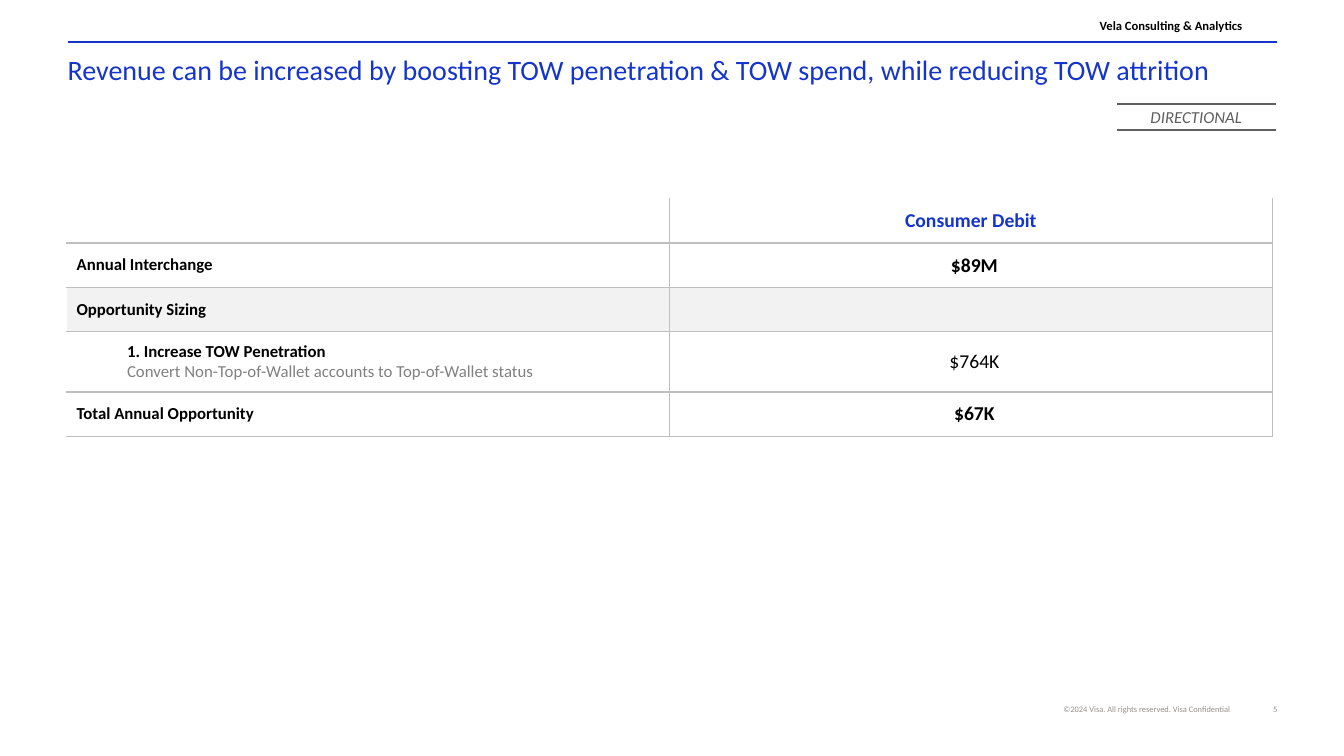
from typing import NamedTuple

from lxml import etree
from pptx import Presentation
from pptx.dml.color import RGBColor
from pptx.enum.shapes import MSO_CONNECTOR
from pptx.enum.text import MSO_ANCHOR, PP_ALIGN
from pptx.oxml.ns import qn
from pptx.util import Inches, Pt

BLUE = RGBColor(0x14, 0x34, 0xCB)
BLACK = RGBColor(0x00, 0x00, 0x00)
WHITE = RGBColor(0xFF, 0xFF, 0xFF)
DARK = RGBColor(0x5F, 0x5F, 0x5F)
GRAY = RGBColor(0x80, 0x80, 0x80)
BAND = RGBColor(0xF2, 0xF2, 0xF2)
EDGE = RGBColor(0xBF, 0xBF, 0xBF)
WARM = RGBColor(0x96, 0x91, 0x8D)

LEFT, MID, RIGHT = PP_ALIGN.LEFT, PP_ALIGN.CENTER, PP_ALIGN.RIGHT
TOP, HALF, BASE = MSO_ANCHOR.TOP, MSO_ANCHOR.MIDDLE, MSO_ANCHOR.BOTTOM
STRAIGHT = MSO_CONNECTOR.STRAIGHT

FONT = "Calibri"
HIGH = 0.44
TALL = 0.6


class Rule(NamedTuple):
    start: float
    end: float
    y: float
    color: RGBColor


class Box(NamedTuple):
    x: float
    y: float
    w: float
    h: float


class Row(NamedTuple):
    label: str
    note: str = ""
    head: str = ""
    fill: RGBColor = WHITE
    high: float = HIGH


class Value(NamedTuple):
    text: str
    y: float
    bold: bool


RULES = [
    Rule(0.67, 12.67, 0.42, BLUE),
    Rule(11.08, 12.66, 1.03, DARK),
    Rule(11.08, 12.66, 1.29, DARK),
]

ROWS = [
    Row("", head="Consumer Debit"),
    Row("Annual Interchange"),
    Row("Opportunity Sizing", fill=BAND),
    Row("1. Increase TOW Penetration",
        note="Convert Non-Top-of-Wallet accounts to Top-of-Wallet status",
        high=TALL),
    Row("Total Annual Opportunity"),
]

VALUES = [
    Value("$89M", 2.46, True),
    Value("$764K", 3.41, False),
    Value("$67K", 3.93, True),
]


def write(para, text: str, *, size: float, color: RGBColor = BLACK,
          bold: bool = False, slant: bool = False, align=LEFT,
          space: float = 1.0) -> None:
    para.alignment = align
    para.line_spacing = space
    run = para.add_run()
    run.text = text
    font = run.font
    font.name, font.size = FONT, Pt(size)
    font.bold, font.italic = bold, slant
    font.color.rgb = color


def add_text(slide, box: Box, text: str, *, anchor=TOP, pad: bool = False,
             **style) -> None:
    frame = slide.shapes.add_textbox(*map(Inches, box)).text_frame
    frame.word_wrap = True
    frame.vertical_anchor = anchor
    if not pad:
        frame.margin_left = frame.margin_right = 0
        frame.margin_top = frame.margin_bottom = 0
    write(frame.paragraphs[0], text, **style)


def add_rule(slide, rule: Rule) -> None:
    line = slide.shapes.add_connector(
        STRAIGHT, Inches(rule.start), Inches(rule.y),
        Inches(rule.end), Inches(rule.y))
    line.line.color.rgb = rule.color
    line.line.width = Pt(1.5)
    etree.SubElement(line._element.spPr, qn("a:effectLst"))


def add_edge(cell, sides: str) -> None:
    props = cell._tc.get_or_add_tcPr()
    for side in sides:
        line = etree.SubElement(props, qn(f"a:ln{side}"), w=str(Pt(1)))
        fill = etree.SubElement(line, qn("a:solidFill"))
        etree.SubElement(fill, qn("a:srgbClr"), val=str(EDGE))


def add_grid(slide, rows: list[Row]) -> None:
    high = sum(row.high for row in rows)
    grid = slide.shapes.add_table(
        len(rows), 2, Inches(0.66), Inches(1.97),
        Inches(11.96), Inches(high)).table
    grid.first_row = grid.horz_banding = False
    for i, row in enumerate(rows):
        grid.rows[i].height = Inches(row.high)
        for j, cell in enumerate(grid.rows[i].cells):
            sides = ("L" if j else "") + "R" + ("T" if i else "") + "B"
            add_edge(cell, sides)
            cell.fill.solid()
            cell.fill.fore_color.rgb = row.fill
            cell.vertical_anchor = HALF
            cell.margin_left = cell.margin_right = Inches(0.1)
            cell.margin_top = cell.margin_bottom = Inches(0.05)
            cell.text_frame.paragraphs[0].font.size = Pt(12)
        name, head = grid.cell(i, 0).text_frame, grid.cell(i, 1).text_frame
        if row.label:
            write(name.paragraphs[0], row.label, size=12, bold=True)
        if row.note:
            write(name.add_paragraph(), row.note, size=12, color=GRAY)
            for para in name.paragraphs:
                props = para._p.get_or_add_pPr()
                props.set("marL", str(Inches(0.5)))
                props.set("indent", "0")
        if row.head:
            write(head.paragraphs[0], row.head, size=14, color=BLUE,
                  bold=True, align=MID)


def main() -> None:
    deck = Presentation()
    deck.slide_width, deck.slide_height = Inches(13.33), Inches(7.5)
    slide = deck.slides.add_slide(deck.slide_layouts[6])
    for rule in RULES:
        add_rule(slide, rule)
    add_text(slide, Box(9.97, 6.99, 2.23, 0.1),
             "©2024 Visa. All rights reserved. Visa Confidential",
             size=6, color=WARM, align=RIGHT, anchor=BASE)
    add_text(slide, Box(12.24, 6.99, 0.43, 0.1), "5",
             size=6, color=WARM, align=RIGHT)
    add_text(slide, Box(10.38, 0.19, 1.94, 0.14),
             "Vela Consulting & Analytics",
             size=9, bold=True, align=RIGHT, anchor=BASE, space=0.9)
    add_text(slide, Box(0.67, 0.52, 12, 0.26),
             "Revenue can be increased by boosting TOW penetration & "
             "TOW spend, while reducing TOW attrition",
             size=20, color=BLUE)
    add_text(slide, Box(10.95, 0.99, 1.83, 0.33), "DIRECTIONAL",
             size=12, color=DARK, slant=True, align=MID, anchor=HALF)
    add_grid(slide, ROWS)
    for value in VALUES:
        add_text(slide, Box(8.9, value.y, 1.53, 0.34), value.text,
                 size=14, bold=value.bold, align=MID, pad=True)
    deck.save("out.pptx")


if __name__ == "__main__":
    main()
